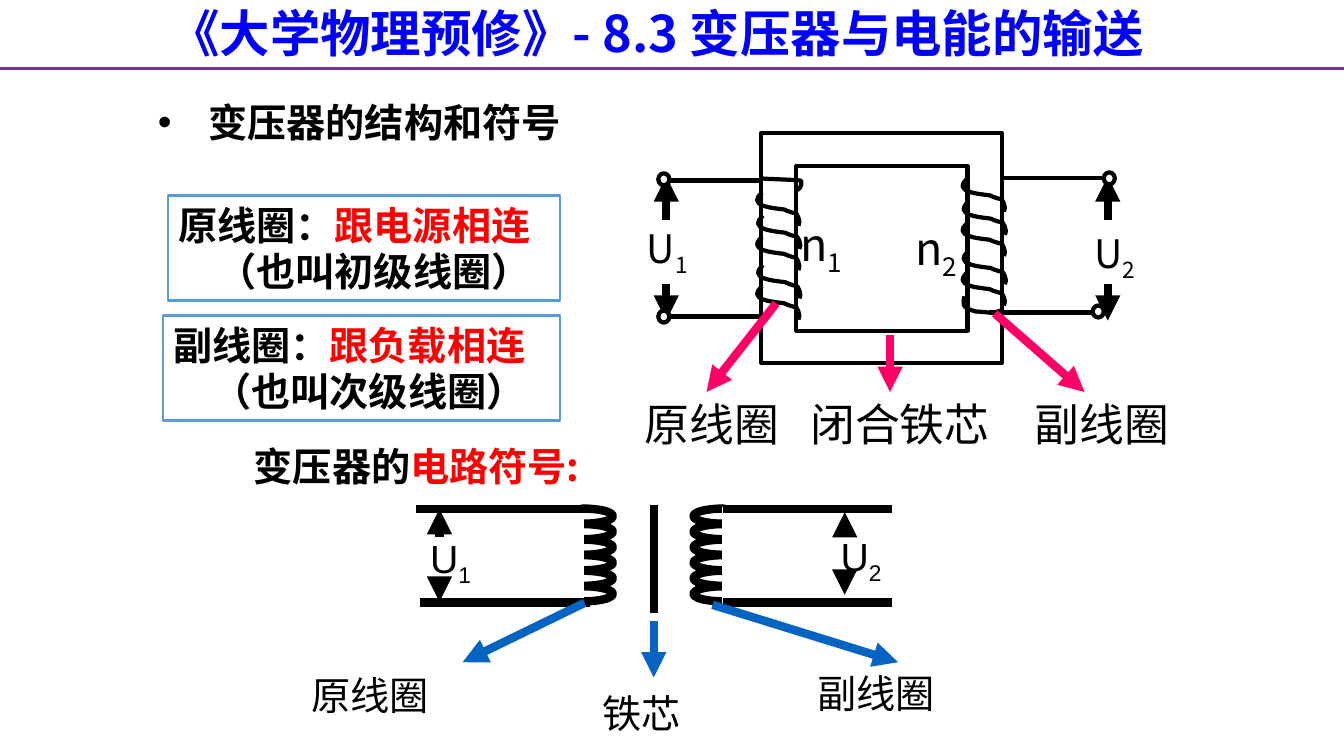
from dataclasses import dataclass
from typing import Any

from lxml.etree import SubElement
from pptx import Presentation
from pptx.dml.color import RGBColor
from pptx.enum.shapes import MSO_CONNECTOR, MSO_SHAPE
from pptx.enum.text import MSO_ANCHOR, MSO_AUTO_SIZE, PP_ALIGN
from pptx.oxml.ns import qn
from pptx.util import Pt

BLACK, RED, PINK, BLUE, WHITE = "000000", "FF0000", "FF0066", "0563C1", "FFFFFF"
SC, JP, ARIAL = "Noto Sans CJK SC", "Noto Sans CJK JP", "Arial"
OVAL, RECT = MSO_SHAPE.OVAL, MSO_SHAPE.RECTANGLE
Point = tuple[float, float]


@dataclass
class Line:
    x1: float
    y1: float
    x2: float
    y2: float
    color: str = BLACK
    width: float = 6
    arrow: bool = False


@dataclass
class Shape:
    kind: Any
    x: float
    y: float
    w: float
    h: float
    fill: str | None = None
    line: str = BLACK
    width: float = 3
    rotation: float = 0


@dataclass
class Run:
    text: str
    color: str = BLACK
    sub: bool = False


@dataclass
class Label:
    x: float
    y: float
    w: float
    h: float
    runs: list[Run]
    font: str
    size: float = 28
    bold: bool = False


def rgb(color: str) -> RGBColor:
    return RGBColor.from_string(color)


def set_all(target: Any, values: dict[str, Any]) -> None:
    for name, value in values.items():
        setattr(target, name, value)


def format_frame(tf: Any, anchor: Any = MSO_ANCHOR.MIDDLE) -> None:
    set_all(tf, {"word_wrap": True, "vertical_anchor": anchor,
                 "margin_left": Pt(7.2), "margin_right": Pt(7.2),
                 "margin_top": Pt(3.6), "margin_bottom": Pt(3.6)})


def add_runs(p: Any, runs: list[Run], font: str, size: float, bold: bool) -> None:
    for run in runs:
        r = p.add_run()
        r.text = run.text
        set_all(r.font, {"name": font, "size": Pt(size), "bold": bold})
        r.font.color.rgb = rgb(run.color)
        rPr = r.font._element
        SubElement(rPr, qn("a:ea")).set("typeface", SC if font == ARIAL else font)
        if run.sub:
            rPr.set("baseline", "-25000")


def add_line(s: Any, line: Line) -> None:
    c = s.shapes.add_connector(MSO_CONNECTOR.STRAIGHT, Pt(line.x1), Pt(line.y1),
                               Pt(line.x2), Pt(line.y2))
    c.line.color.rgb = rgb(line.color)
    c.line.width = Pt(line.width)
    if line.arrow:
        SubElement(c.line._get_or_add_ln(), qn("a:tailEnd")).set("type", "triangle")
    SubElement(c._element.spPr, qn("a:effectLst"))


def style_shape(sp: Any, fill: str | None, line: str, width: float) -> None:
    sp.shadow.inherit = False
    if fill:
        sp.fill.solid()
        sp.fill.fore_color.rgb = rgb(fill)
    else:
        sp.fill.background()
    sp.line.color.rgb = rgb(line)
    sp.line.width = Pt(width)


def add_shape(s: Any, shape: Shape) -> Any:
    sp = s.shapes.add_shape(shape.kind, Pt(shape.x), Pt(shape.y), Pt(shape.w), Pt(shape.h))
    sp.rotation = shape.rotation
    style_shape(sp, shape.fill, shape.line, shape.width)
    return sp


def add_curve(s: Any, x: float, y: float, nodes: list[Point]) -> None:
    points = [(Pt(x + px), Pt(y + py)) for px, py in nodes]
    builder = s.shapes.build_freeform(*points[0])
    builder.add_line_segments(points[1:], close=False)
    sp = builder.convert_to_shape()
    outline = next(sp._element.iter(qn("a:path")))
    segments = outline.findall(qn("a:lnTo"))
    for i in range(0, len(segments), 3):
        bezier = SubElement(outline, qn("a:cubicBezTo"))
        for segment in segments[i:i + 3]:
            bezier.append(segment[0])
            outline.remove(segment)
    style_shape(sp, None, BLACK, 3)


def add_label(s: Any, label: Label) -> Any:
    sp = s.shapes.add_textbox(Pt(label.x), Pt(label.y), Pt(label.w), Pt(label.h))
    format_frame(sp.text_frame, MSO_ANCHOR.TOP)
    sp.text_frame.auto_size = MSO_AUTO_SIZE.SHAPE_TO_FIT_TEXT
    p = sp.text_frame.paragraphs[0]
    add_runs(p, label.runs, label.font, label.size, label.bold)
    return p


def add_definition(s: Any, box: Shape, term: str, meaning: str, alias: str) -> None:
    tf = add_shape(s, box).text_frame
    format_frame(tf)
    for p, runs, indent in ((tf.paragraphs[0], [Run(term), Run(meaning, RED)], 0),
                            (tf.add_paragraph(), [Run(alias)], 28)):
        set_all(p, {"alignment": PP_ALIGN.LEFT, "line_spacing": Pt(33)})
        p._p.get_or_add_pPr().set("marL", str(Pt(indent)))
        add_runs(p, runs, SC, 28, True)


TURN = [(5.8, 0), (4.3, 1.4), (0, 5), (3.6, 7.9), (7.2, 10.8), (16.6, 11.5), (21.6, 12.2),
        (24.5, 13.7), (27.4, 14.4), (30.2, 15.1), (31, 16.6), (32.4, 18.7), (32.4, 20.9),
        (32.4, 21.6), (31.7, 23.8), (31.7, 23.8)]
FIRST_TURN = [(0, 0), (8.6, 0.7), (18, 0.7), (26.6, 1.4), (28.1, 1.4), (29.5, 1.4),
              (29.5, 2.2), (30.2, 5), (28.1, 8.6), (25.2, 8.6)]
LAST_TURN = [(26.6, 10.1), (18, 13), (23.8, 11.5), (8.6, 10.8), (5.8, 10.1), (3.6, 9.4),
             (0.7, 7.2), (0, 6.5), (0, 4.3), (0, 2.9), (0.7, 0), (0.7, 0), (0.7, 0)]
TURN_ORIGINS = [(538.6, 137.5), (539.3, 154.1), (538.6, 169.2), (539.3, 189.4), (538.6, 204.5)]

CORE = [Shape(RECT, 568.8, 118.8, 122.4, 117.4), Shape(RECT, 543.6, 95, 172, 164.2)]
TERMINALS = [Shape(OVAL, x, y, 7.9, 8.6, WHITE)
             for x, y in ((788.4, 123.1), (780.5, 218.2), (470.2, 123.8), (470.2, 221.8))]
SYMBOL_COILS = [
    shape for coil_x, mask_x, angle in ((411.1, 370.8, 90), (511.2, 494.6, 270))
    for shape in (*[Shape(OVAL, coil_x, 347.4 + 11.1 * i, 10.8, 42.5, None, BLACK, 6, angle)
                    for i in range(6)],
                  Shape(RECT, mask_x, 387.4, 67.7, 18.7, WHITE, WHITE, 6, angle))]
LINES = [
    Line(0, 49, 960, 49, "7030A0", 2.25),
    *[Line(x, y1, x, y2, arrow=True) for x in (475.9, 791.3)
      for y1, y2 in ((203, 229), (157, 126))],
    *[Line(x, y, x - 73.4, y, width=3)
      for x, y in ((543.6, 128.9), (543.6, 226.1), (788.4, 127.4), (779.8, 223.2))],
    Line(635.8, 239, 635.8, 280, PINK, arrow=True),
    Line(554.4, 216.7, 504.7, 280, PINK, arrow=True),
    Line(710.6, 223.9, 774.7, 280, PINK, arrow=True),
    Line(467.3, 360.7, 467.3, 437.8),
    *[Line(x, y, x + 121.3, y)
      for x, y in ((516.2, 363.6), (516.2, 430.3), (297.4, 363.6), (300.2, 430.3))],
    *[Line(x, y1, x, y2, arrow=True)
      for x, y1, y2 in ((313.9, 413.3, 429.8), (313.9, 383.8, 363.6),
                        (603.4, 410.4, 424.8), (603.4, 383.8, 365.8))],
    Line(417.6, 430.6, 330.5, 473, BLUE, arrow=True),
    Line(467, 443.5, 467, 483.8, BLUE, arrow=True),
    Line(509, 432, 641.5, 473, BLUE, arrow=True)]
LABELS = [
    *[Label(x, y, w, h, [Run(letter), Run(number, sub=True)], font, size)
      for x, y, w, h, letter, number, font, size in (
          (455, 157, 96.5, 41, "U", "1", JP, 28), (774.7, 160.6, 96.5, 41, "U", "2", JP, 28),
          (564.5, 151.2, 64, 46, "n", "1", JP, 32), (646.6, 154.1, 64, 46, "n", "2", JP, 32),
          (300.2, 378, 70, 41, "U", "1", ARIAL, 28), (593.3, 376.6, 71, 41, "U", "2", ARIAL, 28))],
    *[Label(x, 280, w, 46, [Run(text)], JP, 32)
      for x, w, text in ((453.6, 114, "原线圈"), (571.7, 299.5, "闭合铁芯"), (732.2, 113, "副线圈"))],
    *[Label(x, y, w, 41, [Run(text)], ARIAL)
      for x, y, w, text in ((215.3, 476, 191.5, "原线圈"), (423.4, 489, 147.6, "铁芯"),
                            (576.7, 474.5, 191.5, "副线圈"))],
    Label(174.2, 312.5, 293, 41, [Run("变压器的"), Run("电路符号:", RED)], SC, bold=True)]


def main() -> None:
    prs = Presentation()
    prs.slide_width, prs.slide_height = Pt(960), Pt(540)
    s = prs.slides.add_slide(prs.slide_layouts[5])
    title = s.shapes.title
    set_all(title, {"left": Pt(26), "top": Pt(-2.5), "width": Pt(894), "height": Pt(51)})
    format_frame(title.text_frame)
    p = title.text_frame.paragraphs[0]
    p.alignment = PP_ALIGN.CENTER
    add_runs(p, [Run("《大学物理预修》- 8.3 变压器与电能的输送 ", "0000FF")], SC, 36, True)

    heading = add_label(s, Label(105.8, 67, 332, 41, [Run("变压器的结构和符号")], SC, bold=True))
    pPr = heading._p.get_or_add_pPr()
    pPr.set("marL", str(Pt(36)))
    pPr.set("indent", str(Pt(-36)))
    SubElement(pPr, qn("a:buFont")).set("typeface", ARIAL)
    SubElement(pPr, qn("a:buChar")).set("char", "•")

    for shape in CORE + SYMBOL_COILS:
        add_shape(s, shape)
    add_curve(s, 542.9, 127.4, FIRST_TURN)
    for x, y in TURN_ORIGINS:
        add_curve(s, x, y, TURN)
        add_curve(s, x + 146.8, y - 10.1, TURN)
    add_curve(s, 688.3, 211.7, LAST_TURN)
    for line in LINES:
        add_line(s, line)
    for shape in TERMINALS:
        add_shape(s, shape)
    for label in LABELS:
        add_label(s, label)
    add_definition(s, Shape(RECT, 120.2, 139.7, 280, 75, None, "5B9BD5", 1.5),
                   "原线圈：", "跟电源相连", "（也叫初级线圈）")
    add_definition(s, Shape(RECT, 116.6, 225.4, 283.7, 75, None, "5B9BD5", 1.5),
                   "副线圈：", "跟负载相连", "（也叫次级线圈）")
    prs.save("out.pptx")


if __name__ == "__main__":
    main()
